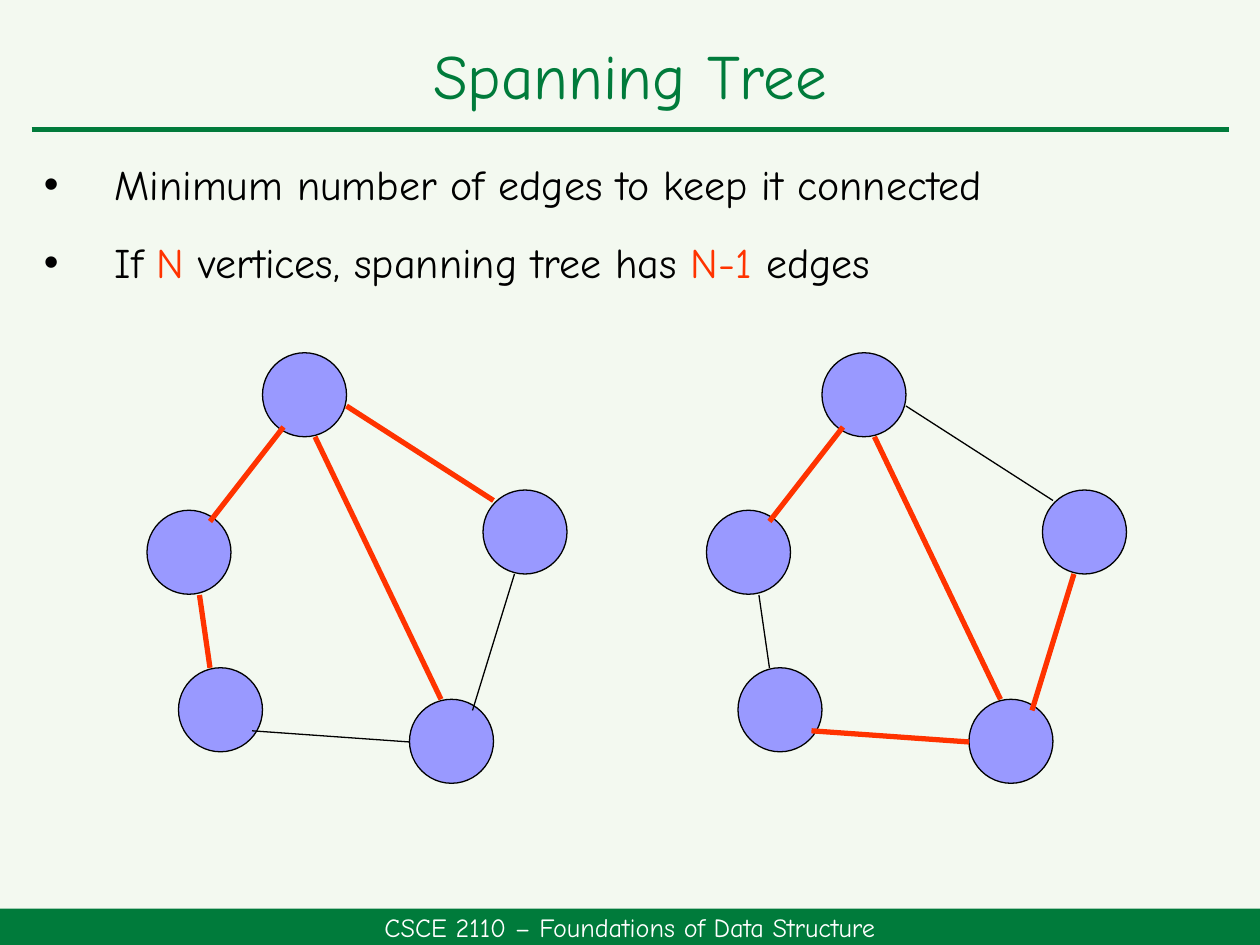
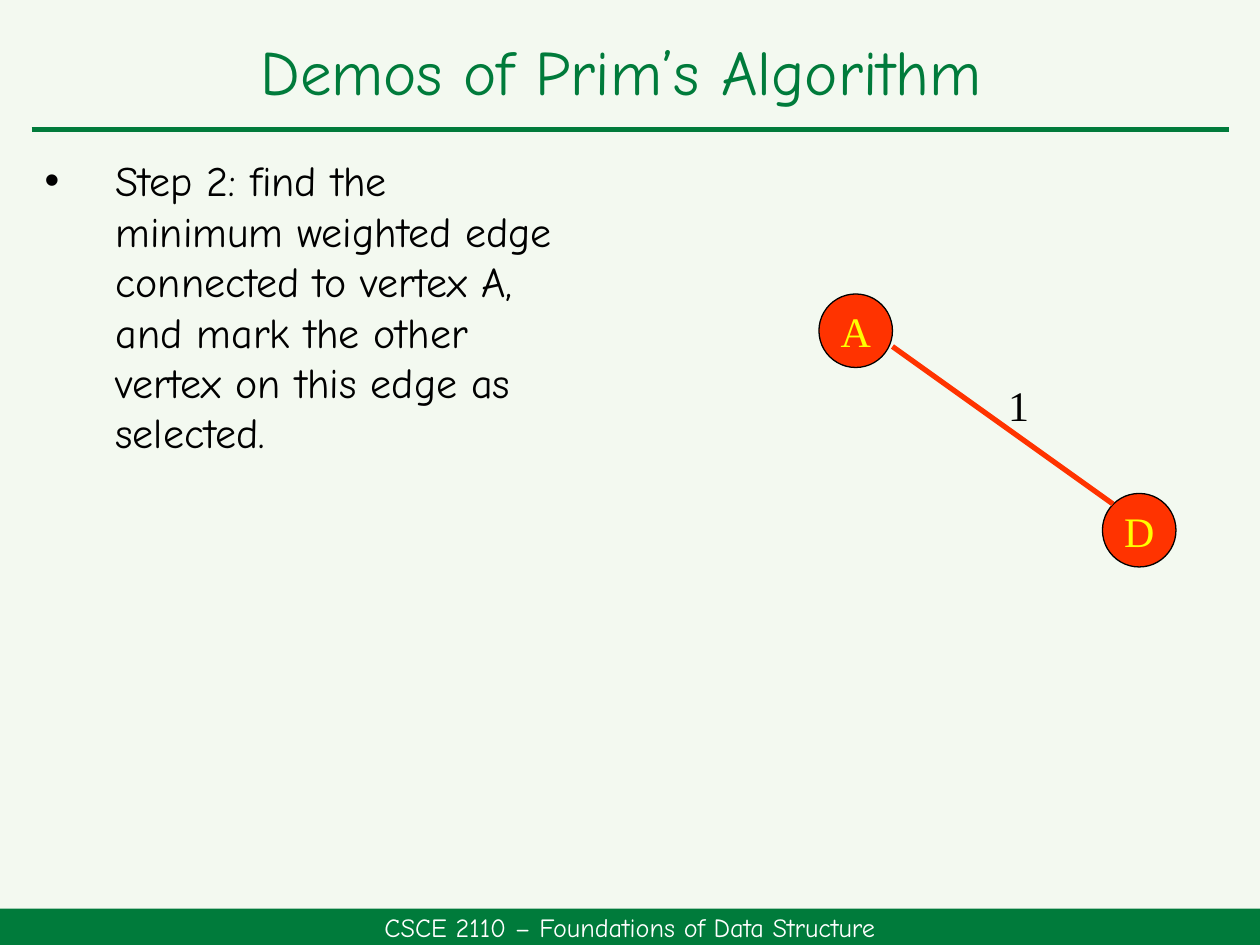
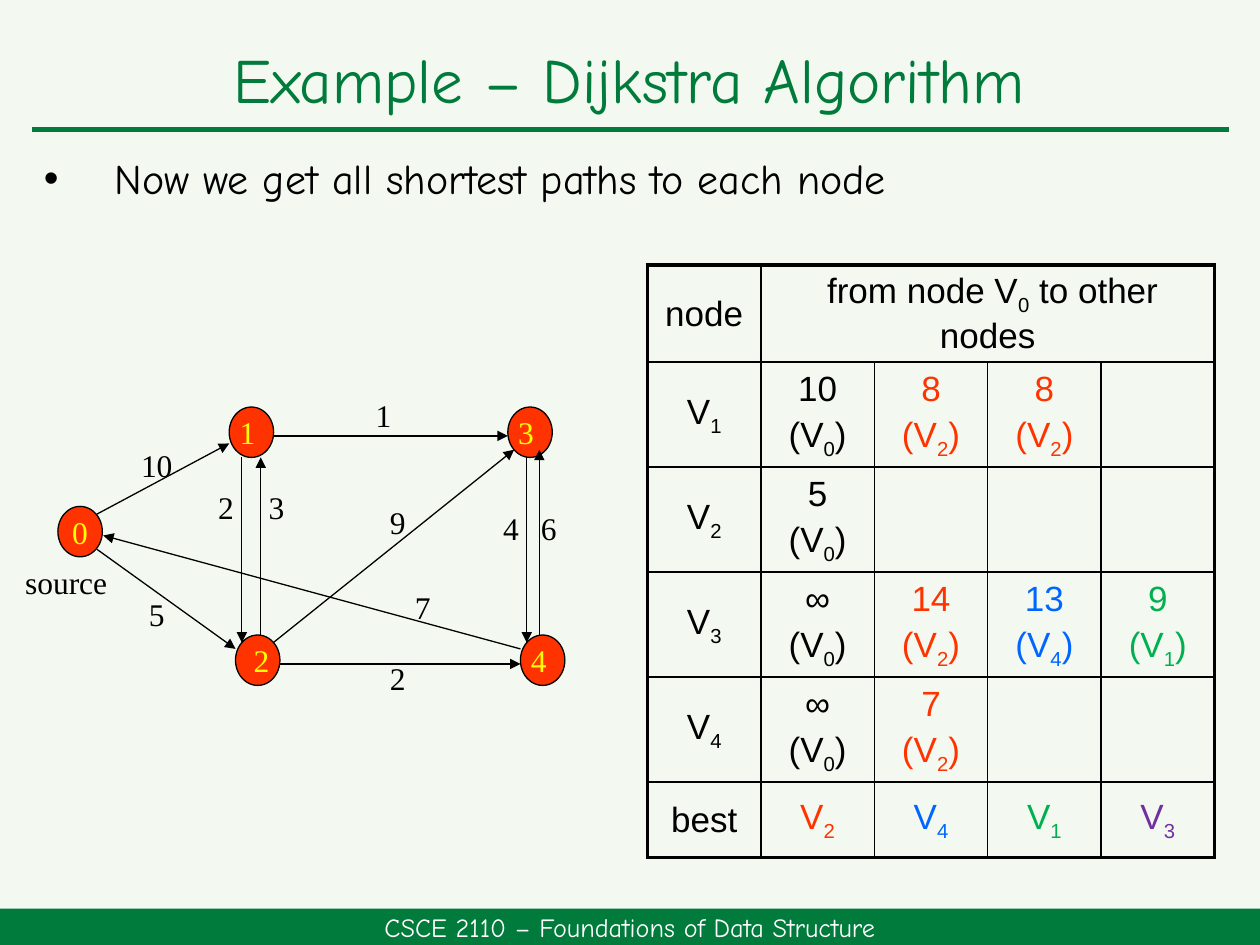
from dataclasses import dataclass
from itertools import product

from lxml.etree import SubElement
from pptx import Presentation
from pptx.dml.color import RGBColor
from pptx.enum.shapes import MSO_CONNECTOR, MSO_SHAPE
from pptx.enum.text import MSO_ANCHOR as Anchor, PP_ALIGN as Align
from pptx.oxml.ns import qn
from pptx.util import Pt

# Shared colours and fonts
BACKGROUND = RGBColor(0xF3, 0xF9, 0xF0)
GREEN = RGBColor(0x00, 0x7B, 0x3B)
WHITE = RGBColor(0xFF, 0xFF, 0xFF)
BLACK = RGBColor(0x00, 0x00, 0x00)
RED = RGBColor(0xFF, 0x33, 0x00)
YELLOW = RGBColor(0xFF, 0xFF, 0x00)
LILAC = RGBColor(0x99, 0x99, 0xFF)
BLUE = RGBColor(0x00, 0x66, 0xFF)
LEAF = RGBColor(0x00, 0xB0, 0x50)
PURPLE = RGBColor(0x70, 0x30, 0xA0)
HEADING_FONT = "Comic Neue"
GRAPH_FONT = "Times New Roman"
TABLE_FONT = "Arial"

SLIDE_WIDTH, SLIDE_HEIGHT = 720, 540
FOOTER_TOP = 519.2
FOOTER_TEXT = "CSCE 2110 – Foundations of Data Structure"
BULLET_INDENT = 40.5
THIN, THICK = 0.75, 3


@dataclass(frozen=True)
class Box:
    left: float
    top: float
    width: float
    height: float

    def lengths(self) -> tuple:
        return Pt(self.left), Pt(self.top), Pt(self.width), Pt(self.height)


@dataclass(frozen=True)
class Style:
    font: str
    size: float
    color: RGBColor = BLACK


@dataclass(frozen=True)
class Piece:
    text: str
    color: RGBColor = BLACK


@dataclass(frozen=True)
class Edge:
    start: tuple[float, float]
    end: tuple[float, float]
    color: RGBColor = BLACK
    weight: float = THIN
    arrow: bool = False


@dataclass(frozen=True)
class Label:
    text: str
    left: float
    top: float
    width: float = 32.4


@dataclass(frozen=True)
class Entry:
    lines: tuple[str, ...] = ()
    color: RGBColor = BLACK


# Text helpers
def add_run(paragraph, text: str, style: Style, subscript: bool = False) -> None:
    run = paragraph.add_run()
    run.text = text
    run.font.name = style.font
    run.font.size = Pt(style.size)
    run.font.color.rgb = style.color
    if subscript:
        run.font._element.set("baseline", "-25000")


def add_indexed_text(paragraph, text: str, style: Style) -> None:
    """Write text in which the character after an underscore is a subscript."""
    first, *rest = text.split("_")
    add_run(paragraph, first, style)
    for part in rest:
        add_run(paragraph, part[0], style, subscript=True)
        if part[1:]:
            add_run(paragraph, part[1:], style)


def write_centred(shape, text: str, style: Style, wrap: bool = False):
    frame = shape.text_frame
    frame.word_wrap = wrap
    frame.vertical_anchor = Anchor.MIDDLE
    paragraph = frame.paragraphs[0]
    paragraph.alignment = Align.CENTER
    add_run(paragraph, text, style)
    return paragraph


# Drawing helpers
def add_filled_shape(slide, kind: MSO_SHAPE, box: Box, fill: RGBColor, outlined: bool):
    shape = slide.shapes.add_shape(kind, *box.lengths())
    shape.shadow.inherit = False
    shape.fill.solid()
    shape.fill.fore_color.rgb = fill
    if outlined:
        shape.line.color.rgb = BLACK
        shape.line.width = Pt(THIN)
    else:
        shape.line.fill.background()
    return shape


def add_edge(slide, edge: Edge, shift: float = 0) -> None:
    (x1, y1), (x2, y2) = edge.start, edge.end
    connector = slide.shapes.add_connector(
        MSO_CONNECTOR.STRAIGHT, Pt(x1 + shift), Pt(y1), Pt(x2 + shift), Pt(y2))
    connector.line.color.rgb = edge.color
    connector.line.width = Pt(edge.weight)
    properties = connector.element.spPr
    if edge.arrow:
        SubElement(properties.find(qn("a:ln")), qn("a:tailEnd"), type="triangle")
    SubElement(properties, qn("a:effectLst"))


def add_node(slide, box: Box, fill: RGBColor, text: str = "", size: float = 24) -> None:
    node = add_filled_shape(slide, MSO_SHAPE.OVAL, box, fill, outlined=True)
    if text:
        write_centred(node, text, Style(GRAPH_FONT, size, YELLOW))


def add_label(slide, label: Label, height: float, size: float) -> None:
    box = Box(label.left, label.top, label.width, height)
    text_box = slide.shapes.add_textbox(*box.lengths())
    text_box.text_frame.margin_left = text_box.text_frame.margin_right = Pt(0)
    write_centred(text_box, label.text, Style(GRAPH_FONT, size))


def add_bullets(slide, box: Box, bullets: list[list[Piece]]) -> None:
    frame = slide.shapes.add_textbox(*box.lengths()).text_frame
    frame.word_wrap = True
    for index, pieces in enumerate(bullets):
        paragraph = frame.add_paragraph() if index else frame.paragraphs[0]
        paragraph.space_before, paragraph.space_after = Pt(10), Pt(6)
        properties = paragraph._p.get_or_add_pPr()
        properties.set("marL", str(Pt(BULLET_INDENT)))
        properties.set("indent", str(-Pt(BULLET_INDENT)))
        SubElement(properties, qn("a:buFont"), typeface="Arial")
        SubElement(properties, qn("a:buChar"), char="•")
        for piece in pieces:
            add_run(paragraph, piece.text, Style(HEADING_FONT, 24, piece.color))


def add_titled_slide(presentation, title: str, title_box: Box):
    slide = presentation.slides.add_slide(presentation.slide_layouts[6])
    add_edge(slide, Edge((18, 74), (702, 74), GREEN, THICK))
    footer_box = Box(0, FOOTER_TOP, SLIDE_WIDTH, SLIDE_HEIGHT - FOOTER_TOP)
    footer = add_filled_shape(slide, MSO_SHAPE.RECTANGLE, footer_box, GREEN, outlined=False)
    write_centred(footer, FOOTER_TEXT, Style(HEADING_FONT, 15, WHITE), wrap=True)
    heading = slide.shapes.add_textbox(*title_box.lengths())
    paragraph = write_centred(heading, title, Style(HEADING_FONT, 36, GREEN), wrap=True)
    paragraph.line_spacing = 0.9
    return slide


# Slide 1: one graph with two of its spanning trees
NODE_CORNERS = [(150, 201.6), (84, 291.6), (102, 381.6), (234, 399.6), (276, 280)]
GRAPH_EDGES = [
    ((162, 244), (120, 298)),
    ((114, 340), (120, 381.6)),
    ((144, 417.6), (234, 424)),
    ((180, 249.6), (252, 399.6)),
    ((198, 232), (282, 286)),
    ((294, 328), (270, 406)),
]
# Horizontal shift of each graph, and the edges in its tree
SPANNING_TREES = [(0, {0, 1, 3, 4}), (319.7, {0, 2, 3, 5})]


def build_spanning_tree(presentation) -> None:
    slide = add_titled_slide(presentation, "Spanning Tree", Box(18, 16.6, 684, 57.6))
    add_bullets(slide, Box(18, 87, 684, 102), [
        [Piece("Minimum number of edges to keep it connected")],
        [Piece("If "), Piece("N", RED), Piece(" vertices, spanning tree has "),
         Piece("N-1", RED), Piece(" edges")],
    ])
    for shift, tree in SPANNING_TREES:
        for left, top in NODE_CORNERS:
            add_node(slide, Box(left + shift, top, 48, 48), LILAC)
        for index, (start, end) in enumerate(GRAPH_EDGES):
            look = (RED, THICK) if index in tree else (BLACK, THIN)
            add_edge(slide, Edge(start, end, *look), shift)


# Slide 2: the second step of Prim's algorithm
def build_prim_step(presentation) -> None:
    slide = add_titled_slide(presentation, "Demos of Prim’s Algorithm ",
                             Box(20.4, 12, 681, 62))
    add_bullets(slide, Box(18.4, 85, 312, 197), [[Piece(
        "Step 2: find the minimum weighted edge connected to vertex A, "
        "and mark the other vertex on this edge as selected.")]])
    for name, left, top in [("A", 468, 168), ("D", 630, 282)]:
        add_node(slide, Box(left, top, 42, 42), RED, name)
    add_label(slide, Label("1", 558, 216, 48), height=30, size=24)
    add_edge(slide, Edge((510, 198), (636, 288), RED, THICK))


# Slide 3: Dijkstra's algorithm, graph and table
DIJKSTRA_NODES = [
    ("0", 33.1, 289.4), ("1 ", 131, 232.6), (" 2", 134.6, 362.9),
    ("3 ", 290.2, 232.6), ("4 ", 297.4, 362.9),
]
DIJKSTRA_EDGES = [
    ((55.4, 313.9), (134.6, 370.8)),
    ((55.4, 293.8), (131, 253.4)),
    ((156.2, 249.1), (290.2, 249.1)),
    ((159.8, 379.4), (297.4, 379.4)),
    ((301, 261.4), (301, 367.2)),
    ((308.2, 362.9), (308.2, 257)),
    ((138.2, 261.4), (138.2, 367.2)),
    ((149, 362.9), (149, 261.4)),
    ((156.2, 367.2), (293.8, 257)),
    ((297.4, 370.8), (59, 306)),
]
DIJKSTRA_LABELS = [
    Label("5", 73.4, 338.4), Label("10", 73.4, 253.4), Label("2", 113, 277.2),
    Label("3", 141.8, 277.2), Label("1", 203, 224.6), Label("2", 211, 375.1),
    Label("7", 225.4, 334.8), Label("4", 275.8, 289.4), Label("9", 211, 285.8),
    Label("6", 297.4, 289.4), Label("source", 9.8, 320.4, 56),
]


def vertex(number: int, color: RGBColor = BLACK) -> Entry:
    return Entry((f"V_{number}",), color)


def distance(value: str, previous: int, color: RGBColor = BLACK) -> Entry:
    return Entry((value, f"(V_{previous})"), color)


EMPTY = Entry()
DISTANCE_ROWS = [
    [Entry(("node",)), Entry((" from node V_0 to other nodes",)), EMPTY, EMPTY, EMPTY],
    [vertex(1), distance("10", 0), distance("8", 2, RED), distance("8", 2, RED), EMPTY],
    [vertex(2), distance("5", 0), EMPTY, EMPTY, EMPTY],
    [vertex(3), distance("∞", 0), distance("14", 2, RED), distance("13", 4, BLUE),
     distance("9", 1, LEAF)],
    [vertex(4), distance("∞", 0), distance("7", 2, RED), EMPTY, EMPTY],
    [Entry(("best",)), vertex(2, RED), vertex(4, BLUE), vertex(1, LEAF), vertex(3, PURPLE)],
]
ROW_HEIGHTS = [55.2, 60, 60, 60, 60, 43.2]
COLUMN_WIDTH = 64.8


def set_borders(cell, outer_sides: dict[str, bool]) -> None:
    properties = cell._tc.get_or_add_tcPr()
    for side, is_outer in outer_sides.items():
        width = Pt(2.25 if is_outer else 1)
        line = SubElement(properties, qn(f"a:ln{side}"), w=str(width))
        fill = SubElement(line, qn("a:solidFill"))
        SubElement(fill, qn("a:srgbClr"), val=str(BLACK))


def fill_cell(cell, entry: Entry) -> None:
    cell.fill.background()
    cell.vertical_anchor = Anchor.MIDDLE
    # Small insets let two lines fit the row height
    cell.margin_top, cell.margin_bottom = Pt(2.4), Pt(1.8)
    frame = cell.text_frame
    for index, line in enumerate(entry.lines):
        paragraph = frame.add_paragraph() if index else frame.paragraphs[0]
        paragraph.alignment = Align.CENTER
        paragraph.space_before = Pt(4)
        add_indexed_text(paragraph, line, Style(TABLE_FONT, 20, entry.color))


def add_distance_table(slide) -> None:
    row_count, column_count = len(DISTANCE_ROWS), len(DISTANCE_ROWS[0])
    box = Box(370, 151.4, COLUMN_WIDTH * column_count, sum(ROW_HEIGHTS))
    table = slide.shapes.add_table(row_count, column_count, *box.lengths()).table
    table.first_row = table.horz_banding = False
    for column in table.columns:
        column.width = Pt(COLUMN_WIDTH)
    for row, height in zip(table.rows, ROW_HEIGHTS):
        row.height = Pt(height)
    table.cell(0, 1).merge(table.cell(0, column_count - 1))
    for row, column in product(range(row_count), range(column_count)):
        cell = table.cell(row, column)
        if cell.is_spanned:
            continue
        span = cell.span_width if cell.is_merge_origin else 1
        set_borders(cell, {
            "L": column == 0, "R": column + span == column_count,
            "T": row == 0, "B": row == row_count - 1,
        })
        fill_cell(cell, DISTANCE_ROWS[row][column])


def build_dijkstra(presentation) -> None:
    slide = add_titled_slide(presentation, "Example – Dijkstra Algorithm",
                             Box(17.3, 23.8, 684, 46.8))
    add_bullets(slide, Box(18, 83.5, 683, 46.8),
                [[Piece("Now we get all shortest paths to each node")]])
    for name, left, top in DIJKSTRA_NODES:
        add_node(slide, Box(left, top, 25.4, 28.8), RED, name, size=18)
    for start, end in DIJKSTRA_EDGES:
        add_edge(slide, Edge(start, end, arrow=True))
    for label in DIJKSTRA_LABELS:
        add_label(slide, label, height=24.5, size=18)
    add_distance_table(slide)


def main() -> None:
    presentation = Presentation()
    presentation.slide_width, presentation.slide_height = Pt(SLIDE_WIDTH), Pt(SLIDE_HEIGHT)
    background = presentation.slide_master.background.fill
    background.solid()
    background.fore_color.rgb = BACKGROUND
    build_spanning_tree(presentation)
    build_prim_step(presentation)
    build_dijkstra(presentation)
    presentation.save("out.pptx")


if __name__ == "__main__":
    main()
